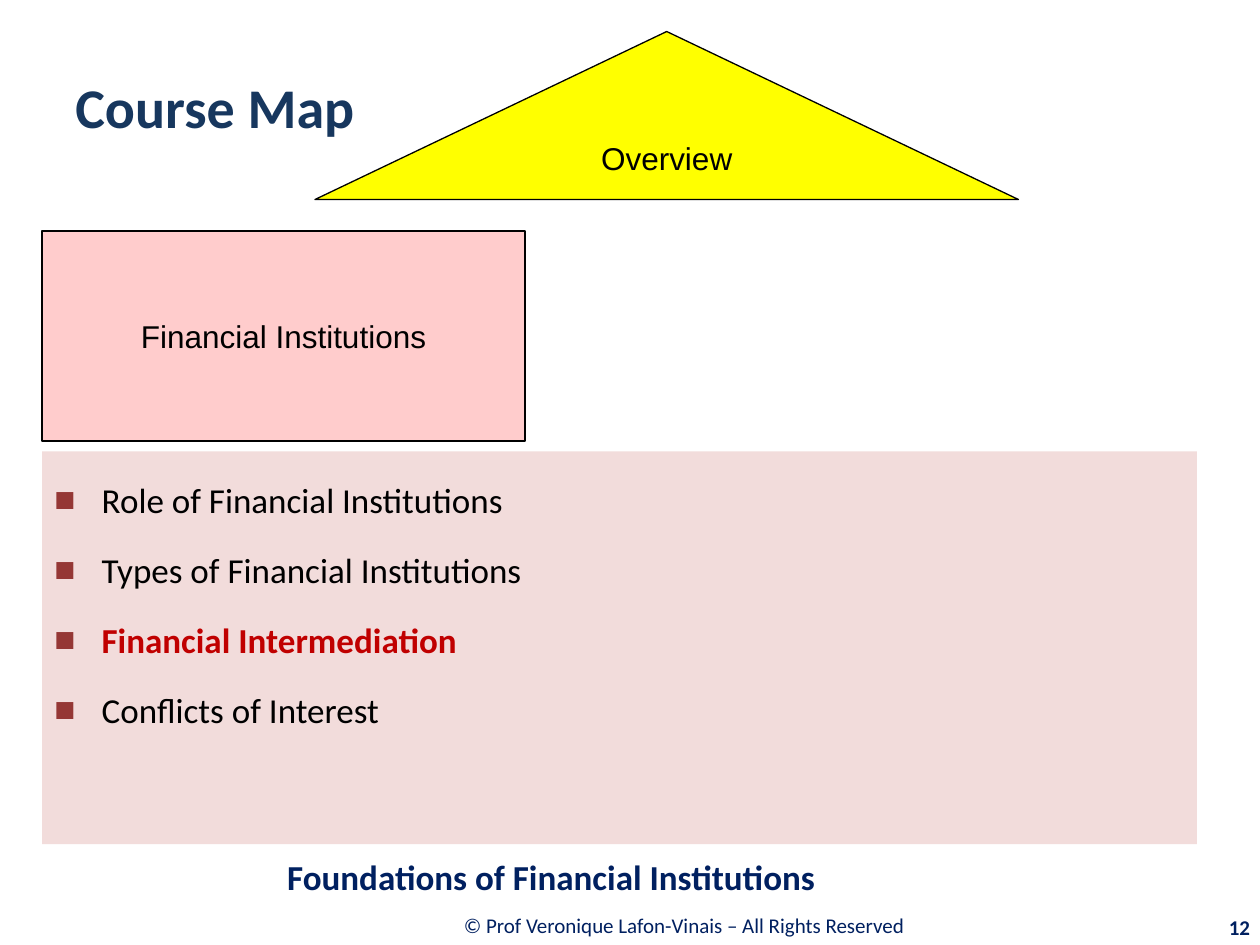
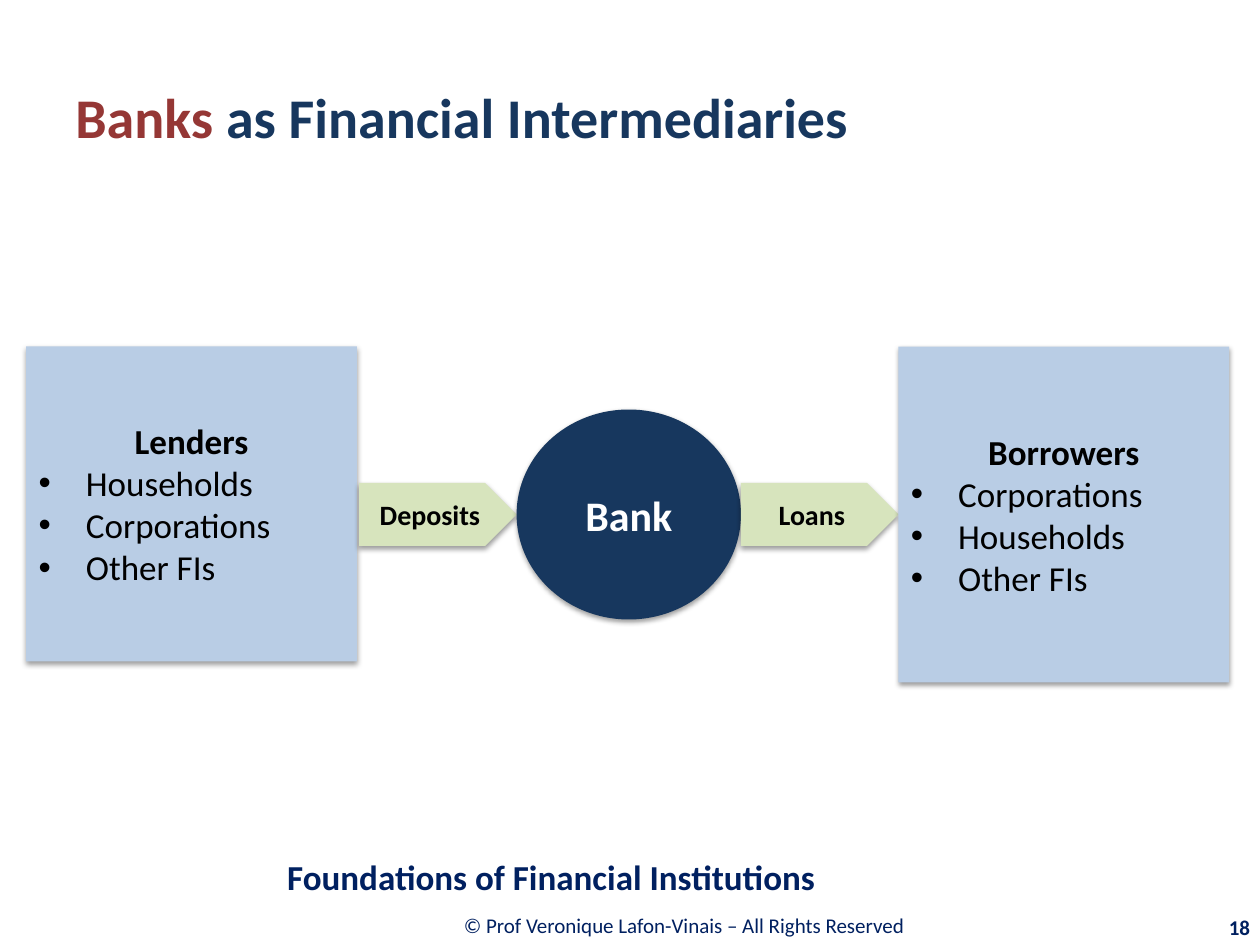
import pptx
import pptx.util
import pptx.dml.color
import pptx.enum.shapes
import pptx.enum.text
import pptx.oxml
import pptx.oxml.ns

Pt = pptx.util.Pt
RGBColor = pptx.dml.color.RGBColor
SHAPE = pptx.enum.shapes.MSO_SHAPE
ALIGN = pptx.enum.text.PP_ALIGN
ANCHOR = pptx.enum.text.MSO_ANCHOR

BLACK = RGBColor(0x00, 0x00, 0x00)
WHITE = RGBColor(0xFF, 0xFF, 0xFF)
NAVY = RGBColor(0x17, 0x37, 0x5E)
FOOTER_BLUE = RGBColor(0x00, 0x20, 0x60)
BRICK = RGBColor(0x95, 0x37, 0x35)
RED = RGBColor(0xC0, 0x00, 0x00)
PINK = RGBColor(0xFF, 0xCC, 0xCC)
PALE_ROSE = RGBColor(0xF2, 0xDC, 0xDB)
YELLOW = RGBColor(0xFF, 0xFF, 0x00)
PALE_BLUE = RGBColor(0xB9, 0xCD, 0xE5)
PALE_GREEN = RGBColor(0xD7, 0xE4, 0xBD)

COPYRIGHT = "© Prof Veronique Lafon-Vinais – All Rights Reserved"
COURSE = "Foundations of Financial Institutions"

MAP_TITLE = [("Course Map", NAVY)]
MAP_TOPICS = [
    "Role of Financial Institutions",
    "Types of Financial Institutions",
    "Financial Intermediation",
    "Conflicts of Interest",
]
CURRENT_TOPIC = "Financial Intermediation"

BANKS_TITLE = [("Banks ", BRICK), ("as Financial Intermediaries", NAVY)]
LENDERS = ("Lenders", ["Households", "Corporations", "Other FIs"])
BORROWERS = ("Borrowers", ["Corporations", "Households", "Other FIs"])

FLOW_LEFT = 205.2
FLOW_MIDDLE = 294
ARROW_SIZE = (90, 36)
BANK_SIZE = (128.2, 120)
PARTY_WIDTH = 189


def add_xml(parent, body):
    namespace = pptx.oxml.ns.nsdecls("a")
    tag, rest = body[1:].split(" ", 1)
    parent.append(pptx.oxml.parse_xml(f"<{tag} {namespace} {rest}"))


def style_span(span, size, color, bold=False, font="Calibri"):
    span.font.name = font
    span.font.size = Pt(size)
    span.font.bold = bold
    span.font.color.rgb = color


def write_lines(shape, lines, size, color, bold=False, font="Calibri",
                align=ALIGN.CENTER, anchor=ANCHOR.MIDDLE):
    frame = shape.text_frame
    frame.word_wrap = True
    frame.vertical_anchor = anchor
    frame.text = "\n".join(lines)
    for para in frame.paragraphs:
        para.alignment = align
        for span in para.runs:
            style_span(span, size, color, bold, font)
    return frame.paragraphs


def add_label(page, place, text, size, color, bold=False, align=ALIGN.LEFT):
    box = page.shapes.add_textbox(*map(Pt, place))
    write_lines(box, [text], size, color, bold, align=align)


def add_block(page, kind, place, fill, outlined=False, shadowed=False):
    block = page.shapes.add_shape(kind, *map(Pt, place))
    block.shadow.inherit = False
    block.fill.solid()
    block.fill.fore_color.rgb = fill
    if outlined:
        block.line.color.rgb = BLACK
        block.line.width = Pt(0.75)
    else:
        block.line.fill.background()
    if shadowed:
        effects = block._element.spPr.find(pptx.oxml.ns.qn("a:effectLst"))
        add_xml(effects, f'<a:outerShdw blurRad="{Pt(3.1)}" dist="{Pt(1.6)}" dir="5400000" '
                         'rotWithShape="0"><a:srgbClr val="000000">'
                         '<a:alpha val="38000"/></a:srgbClr></a:outerShdw>')
    return block


def add_bullet(para, mark, color):
    properties = para._p.get_or_add_pPr()
    properties.set("marL", str(Pt(27)))
    properties.set("indent", str(-Pt(27)))
    add_xml(properties, f'<a:buClr ><a:srgbClr val="{color}"/></a:buClr>')
    add_xml(properties, '<a:buFont typeface="Arial"/>')
    add_xml(properties, f'<a:buChar char="{mark}"/>')


def add_page(deck, title, title_place, number):
    page = deck.slides.add_slide(deck.slide_layouts[6])
    add_label(page, (157.7, 514.8, 466.6, 28), COPYRIGHT, 12, FOOTER_BLUE, align=ALIGN.CENTER)
    add_label(page, (157, 484, 563, 34), COURSE, 20, FOOTER_BLUE, True)
    add_label(page, (648.7, 518.4, 72.7, 23), number, 12, FOOTER_BLUE, True, ALIGN.RIGHT)
    box = page.shapes.add_textbox(*map(Pt, title_place))
    box.text_frame.word_wrap = True
    box.text_frame.vertical_anchor = ANCHOR.MIDDLE
    for text, color in title:
        span = box.text_frame.paragraphs[0].add_run()
        span.text = text
        style_span(span, 32, color, True)
    return page


def build_course_map(deck):
    page = add_page(deck, MAP_TITLE, (36, 9.4, 186, 102), "12")
    for kind, place, fill, text in [
        (SHAPE.RECTANGLE, (24, 132, 276, 120), PINK, "Financial Institutions"),
        (SHAPE.FLOWCHART_EXTRACT, (180, 18, 402, 96), YELLOW, "Overview"),
    ]:
        block = add_block(page, kind, place, fill, outlined=True)
        write_lines(block, [text], 18, BLACK, font="Arial")
    panel = add_block(page, SHAPE.RECTANGLE, (24, 258, 660, 224.4), PALE_ROSE)
    for para in write_lines(panel, MAP_TOPICS, 20, BLACK, align=ALIGN.LEFT, anchor=ANCHOR.TOP):
        para.line_spacing = 1.5
        para.space_before = Pt(4)
        add_bullet(para, "■", BRICK)
        if para.text == CURRENT_TOPIC:
            style_span(para.runs[0], 20, RED, True)


def add_party(page, place, party):
    heading, members = party
    block = add_block(page, SHAPE.RECTANGLE, place, PALE_BLUE, shadowed=True)
    first, *rest = write_lines(block, [heading, *members], 20, BLACK)
    first.runs[0].font.bold = True
    for para in rest:
        para.alignment = ALIGN.LEFT
        add_bullet(para, "•", BLACK)


def build_banks(deck):
    page = add_page(deck, BANKS_TITLE, (36, 21.6, 648, 90), "18")
    add_party(page, (15, 198, PARTY_WIDTH, 180), LENDERS)
    left = FLOW_LEFT
    for kind, (width, height), fill, text, size, color in [
        (SHAPE.PENTAGON, ARROW_SIZE, PALE_GREEN, "Deposits", 16, BLACK),
        (SHAPE.OVAL, BANK_SIZE, NAVY, "Bank", 24, WHITE),
        (SHAPE.PENTAGON, ARROW_SIZE, PALE_GREEN, "Loans", 16, BLACK),
    ]:
        place = (left, FLOW_MIDDLE - height / 2, width, height)
        block = add_block(page, kind, place, fill, shadowed=True)
        write_lines(block, [text], size, color, True)
        left += width
    add_party(page, (left, 198, PARTY_WIDTH, 192), BORROWERS)


def main():
    deck = pptx.Presentation()
    deck.slide_width = Pt(720)
    deck.slide_height = Pt(540)
    build_course_map(deck)
    build_banks(deck)
    deck.save("out.pptx")


if __name__ == "__main__":
    main()
